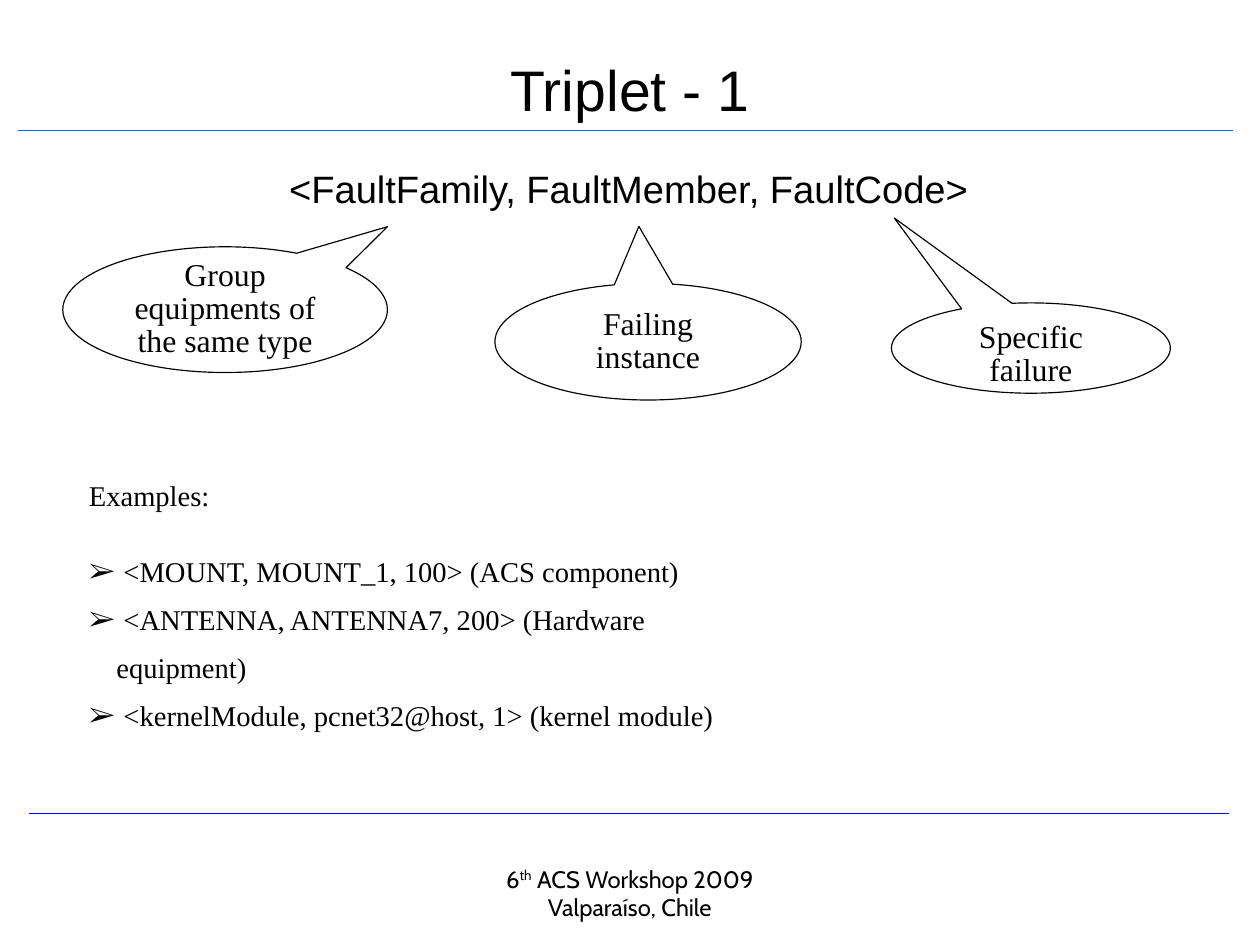
from dataclasses import dataclass

from lxml import etree
from pptx import Presentation
from pptx.dml.color import RGBColor
from pptx.enum.shapes import MSO_CONNECTOR, MSO_SHAPE
from pptx.enum.text import MSO_ANCHOR, MSO_AUTO_SIZE, PP_ALIGN
from pptx.oxml.ns import qn
from pptx.util import Inches, Pt

LEFT, CENTER = PP_ALIGN.LEFT, PP_ALIGN.CENTER
TOP, MIDDLE = MSO_ANCHOR.TOP, MSO_ANCHOR.MIDDLE
CALLOUT = MSO_SHAPE.OVAL_CALLOUT
STRAIGHT = MSO_CONNECTOR.STRAIGHT
NO_FIT = MSO_AUTO_SIZE.NONE
CM = 1 / 2.54


@dataclass(frozen=True)
class Theme:
    ink: RGBColor = RGBColor(0, 0, 0)
    paper: RGBColor = RGBColor(255, 255, 255)
    top_rule: RGBColor = RGBColor(0, 0x66, 255)
    low_rule: RGBColor = RGBColor(0, 0, 255)
    sans: str = "Arial"
    serif: str = "Times New Roman"
    foot: str = "Cabin"
    title_size: int = 36
    lead_size: int = 24
    call_size: int = 20
    list_size: int = 18
    foot_size: int = 15
    thin: float = 0.75


THEME = Theme()


def write(para, text, font, size, align=LEFT, gap=0.87, after=0, mark=None,
          raised=()):
    """Fill a paragraph; each piece of text whose index is in raised is superscript."""
    props = para._p.get_or_add_pPr()
    indent = Inches(0.24) if mark else 0
    props.set("marL", str(indent))
    props.set("indent", str(-indent))
    para.alignment, para.line_spacing = align, gap
    para.space_before, para.space_after = Pt(0), Pt(after)
    if mark:
        etree.SubElement(props, qn("a:buFont")).set("typeface", font)
        etree.SubElement(props, qn("a:buChar")).set("char", mark)
    else:
        etree.SubElement(props, qn("a:buNone"))
    pieces = [text] if isinstance(text, str) else text
    for i, piece in enumerate(pieces):
        run = para.add_run()
        run.text = piece
        run.font.name, run.font.size = font, Pt(size)
        run.font.color.rgb = THEME.ink
        if i in raised:
            run._r.get_or_add_rPr().set("baseline", "33000")


def set_frame(shape, side=0.1, top=0.05, anchor=TOP, wrap=True):
    frame = shape.text_frame
    frame.auto_size, frame.word_wrap = NO_FIT, wrap
    frame.vertical_anchor = anchor
    frame.margin_left = frame.margin_right = Inches(side)
    frame.margin_top = frame.margin_bottom = Inches(top)
    return frame


def place(shape, box):
    shape.left, shape.top, shape.width, shape.height = map(Inches, box)


def add_rule(slide, box, color):
    x, y, width = box
    rule = slide.shapes.add_connector(
        STRAIGHT, Inches(x), Inches(y), Inches(x + width), Inches(y))
    rule.line.color.rgb, rule.line.width = color, Pt(THEME.thin)
    etree.SubElement(rule._element.spPr, qn("a:effectLst"))


def add_head(slide, box):
    title = slide.shapes.title
    place(title, box)
    frame = set_frame(title, 0, 0, MIDDLE)
    write(frame.paragraphs[0], "Triplet - 1", THEME.sans, THEME.title_size,
          align=CENTER)
    add_rule(slide, (0.16, box[1] + 1.01, 10.63), THEME.top_rule)


def add_lead(slide, box):
    body = slide.placeholders[1]
    place(body, box)
    frame = set_frame(body, 0, 0)
    write(frame.paragraphs[0], "<FaultFamily, FaultMember, FaultCode>",
          THEME.sans, THEME.lead_size, align=CENTER)


def add_callout(slide, box, text, tip, anchor=MIDDLE):
    """Draw a balloon whose tip is an offset from its centre, in box widths and heights."""
    balloon = slide.shapes.add_shape(CALLOUT, *map(Inches, box))
    balloon.shadow.inherit = False
    balloon.fill.solid()
    balloon.fill.fore_color.rgb = THEME.paper
    balloon.line.color.rgb, balloon.line.width = THEME.ink, Pt(THEME.thin)
    for i, offset in enumerate(tip):
        balloon.adjustments[i] = offset
    frame = set_frame(balloon, anchor=anchor)
    write(frame.paragraphs[0], text, THEME.serif, THEME.call_size, align=CENTER)


def add_samples(slide, box):
    frame = set_frame(slide.shapes.add_textbox(*map(Inches, box)))
    write(frame.paragraphs[0], "Examples:", THEME.serif, THEME.list_size,
          after=18)
    for text in (" <MOUNT, MOUNT_1, 100> (ACS component)",
                 " <ANTENNA, ANTENNA7, 200> (Hardware equipment)",
                 " <kernelModule, pcnet32@host, 1> (kernel module)"):
        write(frame.add_paragraph(), text, THEME.serif, THEME.list_size,
              gap=1.4, mark="➢")


def add_foot(slide, box):
    add_rule(slide, (0.25, box[1] - 0.41, 10.5), THEME.low_rule)
    frame = set_frame(slide.shapes.add_textbox(*map(Inches, box)), wrap=False)
    write(frame.paragraphs[0], ("6", "th", " ACS Workshop 2009"), THEME.foot,
          THEME.foot_size, align=CENTER, gap=0.98, raised=(1,))
    write(frame.add_paragraph(), "Valparaíso, Chile", THEME.foot,
          THEME.foot_size, align=CENTER, gap=0.97)


def main():
    deck = Presentation()
    deck.slide_width, deck.slide_height = Inches(28 * CM), Inches(21 * CM)
    slide = deck.slides.add_slide(deck.slide_layouts[1])
    add_head(slide, (0.55, 0.13, 9.92, 1.38))
    add_lead(slide, (0.25, 1.5, 10.5, 5.5))
    add_callout(slide, (0.55, 2.16, 2.84, 1.1),
                "Group equipments of the same type", (0.5, -0.66))
    add_callout(slide, (4.33, 2.48, 2.68, 1.02), "Failing instance",
                (-0.03, -0.99))
    add_callout(slide, (7.8, 2.65, 2.44, 0.79), "Specific failure",
                (-0.49, -1.44), anchor=TOP)
    add_samples(slide, (0.68, 4.17, 6.2, 1.88))
    add_foot(slide, (4.19, 7.53, 2.64, 0.59))
    deck.save("out.pptx")


if __name__ == "__main__":
    main()
